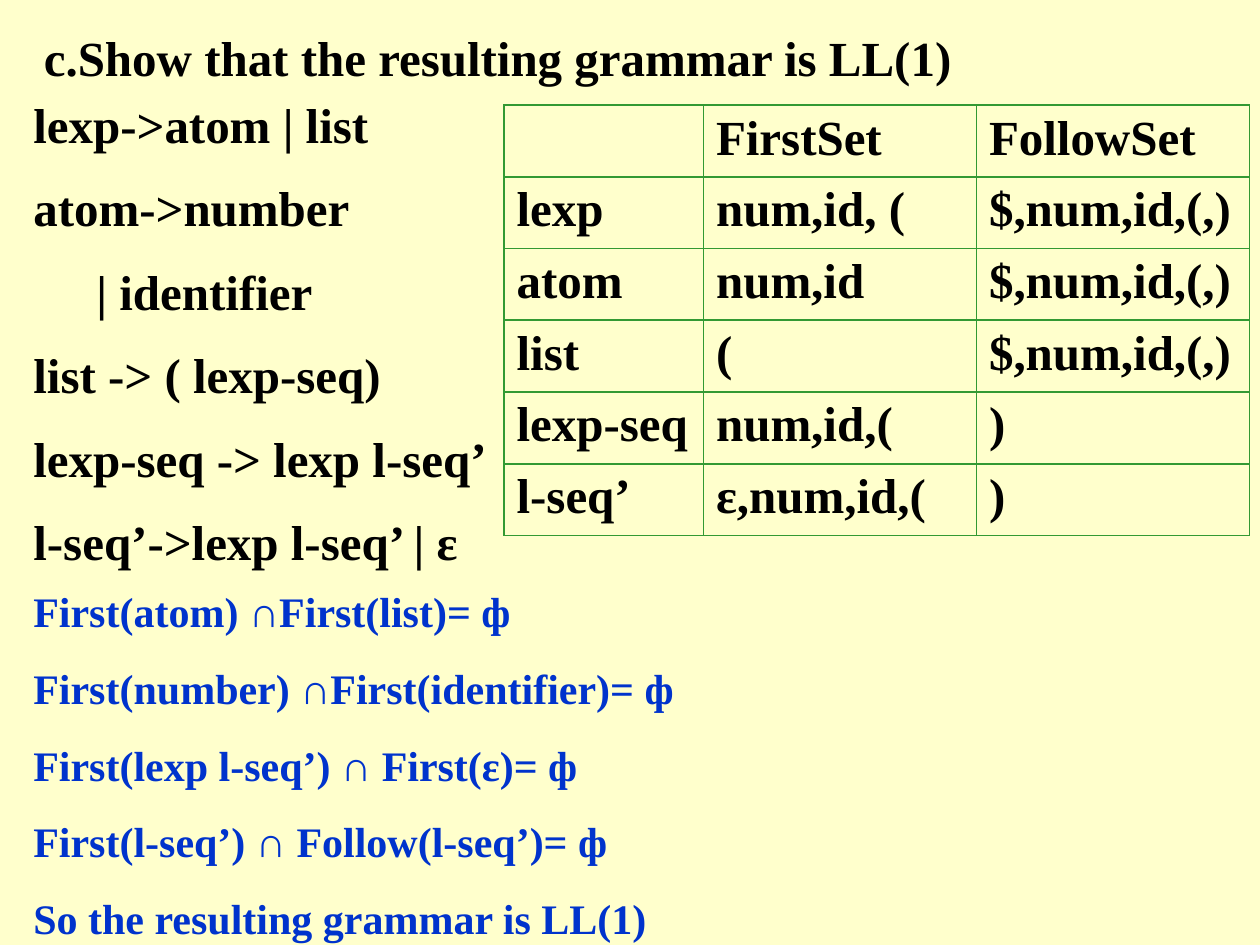
from collections import namedtuple
from dataclasses import dataclass

from lxml import etree
from pptx import Presentation
from pptx import util as u
from pptx.dml.color import RGBColor
from pptx.enum import text
from pptx.oxml import ns

Box = namedtuple("Box", "left top width height")
CELL = 1 / 12  # inches per grid column and row; the slide is 120 by 90


@dataclass(frozen=True)
class Theme:
    font: str = "Times New Roman"
    paper: str = "FFFFCC"
    ink: str = "000000"
    proof: str = "0033CC"
    rule: str = "339933"
    rule_width: float = 1.08
    large: int = 28
    medium: int = 24


THEME = Theme()

TITLE = "c.Show that the resulting grammar is LL(1)"
GRAMMAR = [
    "lexp->atom | list",
    "atom->number",
    "\t| identifier",
    "list -> ( lexp-seq)",
    "lexp-seq -> lexp l-seq’",
    "l-seq’->lexp l-seq’ | ε",
]
SETS = [
    ("", "FirstSet", "FollowSet"),
    ("lexp", "num,id, (", "$,num,id,(,)"),
    ("atom", "num,id", "$,num,id,(,)"),
    ("list", "(", "$,num,id,(,)"),
    ("lexp-seq", "num,id,(", ")"),
    ("l-seq’", "ε,num,id,(", ")"),
]
SET_COLUMNS = (19, 26, 26)
PROOF = [
    "First(atom) ∩First(list)= ф",
    "First(number) ∩First(identifier)= ф",
    "First(lexp l-seq’) ∩ First(ε)= ф",
    "First(l-seq’) ∩ Follow(l-seq’)= ф",
    "So the resulting grammar is LL(1)",
]


def grid(count):
    return u.Inches(count * CELL)


def place(box):
    return [grid(side) for side in box]


def set_format(target, values):
    for name, value in values.items():
        setattr(target, name, value)


def write(para, words, size, color):
    para.text = words
    set_format(para.font, {"name": THEME.font, "size": u.Pt(size), "bold": True})
    para.font.color.rgb = RGBColor.from_string(color)


def add_lines(page, box, lines, size, color, spacing=None):
    frame = page.shapes.add_textbox(*place(box)).text_frame
    set_format(frame, {"word_wrap": True, "auto_size": text.MSO_AUTO_SIZE.SHAPE_TO_FIT_TEXT})
    for index, words in enumerate(lines):
        para = frame.add_paragraph() if index else frame.paragraphs[0]
        if spacing:
            para.line_spacing = spacing
        if index:
            para.space_before = u.Pt(size * 0.625)
        write(para, words, size, color)


def add_title(page, box):
    add_lines(page, box, [TITLE], THEME.large, THEME.ink)


def add_grammar(page, box):
    add_lines(page, box, GRAMMAR, THEME.large, THEME.ink, spacing=0.9)


def add_proof(page, box):
    add_lines(page, box, PROOF, THEME.medium, THEME.proof)


def rule_cell(cell):
    """Draw all four borders; they must precede the fill in the cell's XML."""
    properties = cell._tc.get_or_add_tcPr()
    for side in ("a:lnL", "a:lnR", "a:lnT", "a:lnB"):
        line = etree.SubElement(properties, ns.qn(side), w=str(int(u.Pt(THEME.rule_width))))
        fill = etree.SubElement(line, ns.qn("a:solidFill"))
        etree.SubElement(fill, ns.qn("a:srgbClr"), val=THEME.rule)


def add_set_table(page, box):
    table = page.shapes.add_table(len(SETS), len(SET_COLUMNS), *place(box)).table
    set_format(table, {"first_row": False, "horz_banding": False})
    for column, width in zip(table.columns, SET_COLUMNS):
        column.width = grid(width)
    for row, entries in zip(table.rows, SETS):
        row.height = grid(box.height / len(SETS))
        for cell, words in zip(row.cells, entries):
            rule_cell(cell)
            cell.fill.background()
            write(cell.text_frame.paragraphs[0], words, THEME.large, THEME.ink)


def main():
    deck = Presentation()
    set_format(deck, {"slide_width": grid(120), "slide_height": grid(90)})
    page = deck.slides.add_slide(deck.slide_layouts[6])
    page.background.fill.solid()
    page.background.fill.fore_color.rgb = RGBColor.from_string(THEME.paper)

    add_title(page, Box(3, 2, 115, 6.8))
    add_grammar(page, Box(2, 9, 50, 46))
    add_set_table(page, Box(48, 10, sum(SET_COLUMNS), 41))
    add_proof(page, Box(2, 55.2, 115, 35.2))
    deck.save("out.pptx")


if __name__ == "__main__":
    main()
